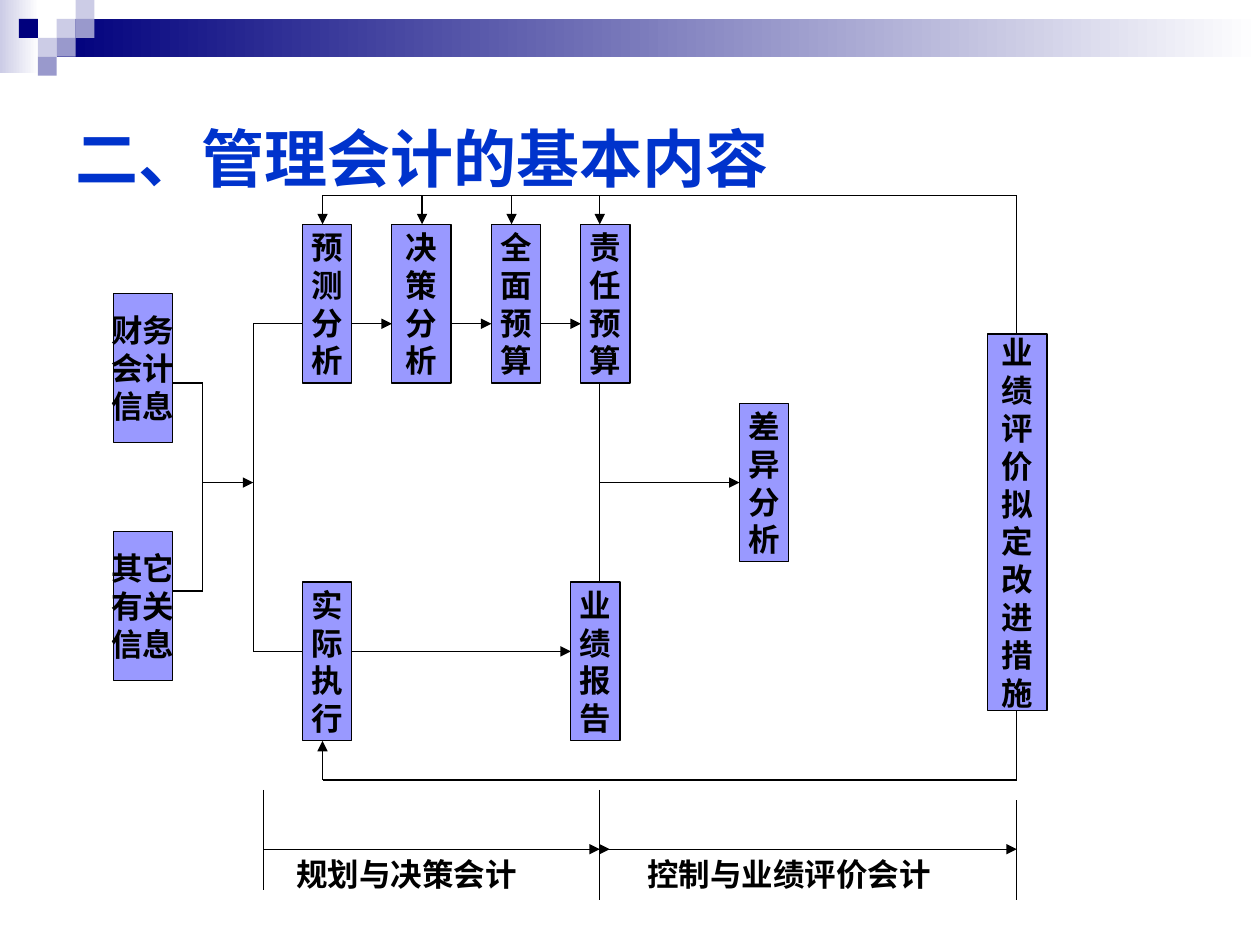
import pptx
import pptx.dml.color
import pptx.enum.shapes
import pptx.enum.text
import pptx.oxml
import pptx.oxml.ns
import pptx.util
from pptx.util import Inches

BLACK, NODE_FILL = "000000", "9999FF"
NAVY, LILAC, MAUVE, WHITE = "00007D", "CCCCE6", "9999CC", "FFFFFF"
BODY_FONT = {"name": "Arial", "size": pptx.util.Pt(18), "bold": True}
TITLE_FONT = {"name": "Arial", "size": pptx.util.Pt(36), "bold": True}


def rgb(value):
    """Turn a hex string into a colour."""
    return pptx.dml.color.RGBColor.from_string(value)


def apply(target, values):
    """Set every attribute named in a dict of format values."""
    for name, value in values.items():
        setattr(target, name, value)


def place(box, left, top, width, height):
    """Return slide lengths of an area given relative to a box."""
    return [Inches(v) for v in (box[0] + left, box[1] + top, width, height)]


def write(frame, lines, font, colour, align):
    """Fill a text frame with one paragraph for each line."""
    frame.text = "\n".join(lines)
    for paragraph in frame.paragraphs:
        paragraph.alignment = align
        apply(paragraph.font, font)
        paragraph.font.color.rgb = rgb(colour)


def add_rectangle(slide, area):
    """Add a rectangle without shadow or outline."""
    rectangle = slide.shapes.add_shape(pptx.enum.shapes.MSO_SHAPE.RECTANGLE, *area)
    rectangle.shadow.inherit = False
    rectangle.line.fill.background()
    return rectangle


def add_node(slide, box, lines, area):
    """Add a flow node with its text stacked in lines."""
    node = add_rectangle(slide, place(box, *area))
    node.fill.solid()
    node.fill.fore_color.rgb = rgb(NODE_FILL)
    node.line.color.rgb = rgb(BLACK)
    node.line.width = pptx.util.Pt(0.75)
    node.text_frame.word_wrap = False
    write(node.text_frame, lines, BODY_FONT, BLACK, pptx.enum.text.PP_ALIGN.CENTER)


def add_route(slide, box, points, arrow=False):
    """Join points with straight lines, with an arrowhead on the last if asked."""
    for start, end in zip(points, points[1:]):
        ends = [Inches(box[i] + point[i]) for point in (start, end) for i in (0, 1)]
        segment = slide.shapes.add_connector(
            pptx.enum.shapes.MSO_CONNECTOR.STRAIGHT, *ends)
        segment.line.color.rgb = rgb(BLACK)
        segment.line.width = pptx.util.Pt(0.75)
        properties = segment.line._get_or_add_ln()
        if arrow and end == points[-1]:
            properties.append(pptx.oxml.parse_xml(
                f'<a:tailEnd {pptx.oxml.ns.nsdecls("a")} type="triangle"/>'))
        properties.addnext(pptx.oxml.parse_xml(
            f'<a:effectLst {pptx.oxml.ns.nsdecls("a")}/>'))


def build_banner(slide, box):
    """Draw the gradient bar and the mosaic of squares at the top."""
    bands = [((0, 0, 0.31, 0.58), LILAC), ((0.45, 0.15, box[2] - 0.45, 0.3), NAVY)]
    for area, colour in bands:
        band = add_rectangle(slide, place(box, *area))
        band.fill.gradient()
        band.fill.gradient_angle = 180
        for stop, shade, position in zip(band.fill.gradient_stops, (WHITE, colour), (0, 1)):
            stop.color.rgb = rgb(shade)
            stop.position = position
    side = 0.15
    squares = [(3, 1, LILAC), (4, 0, LILAC), (4, 1, MAUVE), (2, 2, LILAC),
               (1, 1, NAVY), (3, 2, MAUVE), (2, 3, MAUVE)]
    for column, row, colour in squares:
        square = add_rectangle(slide, place(box, column * side, row * side, side, side))
        square.fill.solid()
        square.fill.fore_color.rgb = rgb(colour)


def build_title(slide, box):
    """Move and format the title placeholder."""
    title = slide.shapes.title
    apply(title, dict(zip(("left", "top", "width", "height"), map(Inches, box))))
    title.text_frame.vertical_anchor = pptx.enum.text.MSO_ANCHOR.MIDDLE
    write(title.text_frame, ["二、管理会计的基本内容"], TITLE_FONT, "0033CC",
          pptx.enum.text.PP_ALIGN.LEFT)


def build_flow(slide, box):
    """Draw the accounting flow with its feedback loop."""
    stages = [("预测分析", 1.5, 0.39), ("决策分析", 2.21, 0.47),
              ("全面预算", 3, 0.39), ("责任预算", 3.71, 0.39)]
    planning, middle, execution = 1.02, 2.28, 3.62
    budget, loop_left, loop_right, bottom = 3.86, 1.66, 7.17, box[3]

    for lines, top in ((("财务", "会计", "信息"), 0.78), (("其它", "有关", "信息"), 2.67)):
        add_node(slide, box, lines, (0, top, 0.47, 1.18))
    for stage, left, width in stages:
        add_node(slide, box, stage, (left, 0.23, width, 1.26))
    for step, left, top in (("实际执行", 1.5, 3.07), ("业绩报告", 3.63, 3.07),
                            ("差异分析", 4.97, 1.65)):
        add_node(slide, box, step, (left, top, 0.39, 1.26))
    add_node(slide, box, "业绩评价拟定改进措施", (6.94, 1.1, 0.47, 2.99))

    add_route(slide, box, [(0.47, 1.49), (0.71, 1.49), (0.71, 3.14), (0.47, 3.14)])
    add_route(slide, box, [(0.71, middle), (1.11, middle)], True)
    add_route(slide, box, [(1.5, planning), (1.11, planning),
                           (1.11, execution), (1.5, execution)])
    for (_, left, width), (_, following, _) in zip(stages, stages[1:]):
        add_route(slide, box, [(left + width, planning), (following, planning)], True)
    add_route(slide, box, [(1.89, execution), (3.63, execution)], True)
    add_route(slide, box, [(budget, 1.49), (budget, 3.07)])
    add_route(slide, box, [(budget, middle), (4.97, middle)], True)
    add_route(slide, box, [(loop_right, 4.09), (loop_right, bottom),
                           (loop_left, bottom), (loop_left, 4.33)], True)
    add_route(slide, box, [(loop_right, 1.1), (loop_right, 0),
                           (loop_left, 0), (loop_left, 0.23)], True)
    for drop in (2.45, 3.16, budget):
        add_route(slide, box, [(drop, 0), (drop, 0.23)], True)


def build_scope(slide, box):
    """Draw the spans of the two accounting branches with their labels."""
    divider, right, bottom, axis = 2.67, box[2], box[3], 0.47
    for x, top, end in ((0, 0, 0.79), (divider, 0, bottom), (right, 0.08, bottom)):
        add_route(slide, box, [(x, top), (x, end)])
    for start, end in ((0, divider), (0.07, 2.75), (divider, right)):
        add_route(slide, box, [(start, axis), (end, axis)], True)
    for branch, left, width, wrap in (("控制与业绩评价会计", 2.83, 2.68, True),
                                      ("规划与决策会计", 0.16, 1.95, False)):
        label = slide.shapes.add_textbox(*place(box, left, axis, width, 0.4))
        apply(label.text_frame, {
            "word_wrap": wrap,
            "auto_size": pptx.enum.text.MSO_AUTO_SIZE.SHAPE_TO_FIT_TEXT})
        write(label.text_frame, [branch], BODY_FONT, BLACK,
              pptx.enum.text.PP_ALIGN.CENTER)


def main():
    """Build the slide and save it."""
    deck = pptx.Presentation()
    apply(deck, {"slide_width": Inches(10), "slide_height": Inches(7.5)})
    slide = deck.slides.add_slide(deck.slide_layouts[5])
    build_banner(slide, (0, 0, 10, 0.6))
    build_title(slide, (0.5, 0.5, 9, 1.5))
    build_flow(slide, (0.9, 1.55, 7.41, 4.64))
    build_scope(slide, (2.09, 6.27, 5.98, 0.87))
    deck.save("out.pptx")


if __name__ == "__main__":
    main()
